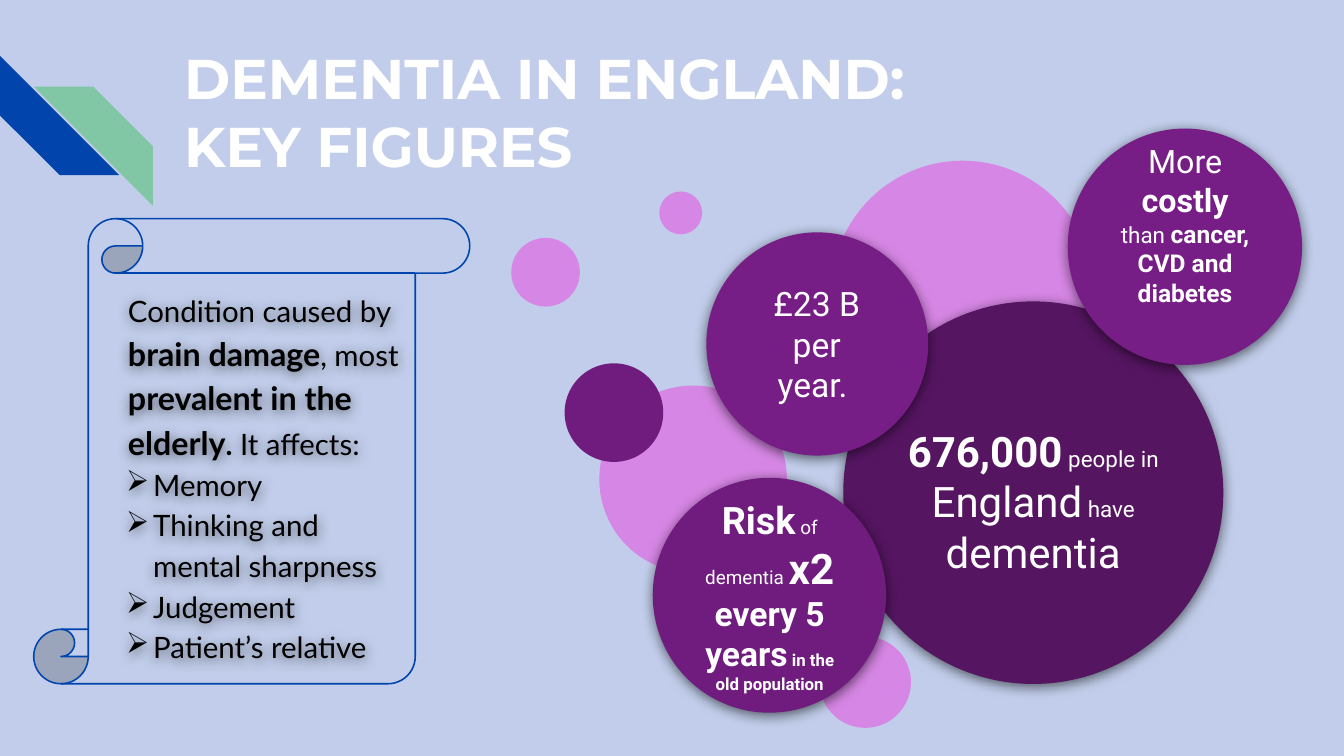
import pptx
import pptx.util
import pptx.dml.color
import pptx.enum.shapes
import pptx.enum.text
import pptx.oxml
import pptx.oxml.ns

Cm = pptx.util.Cm
Pt = pptx.util.Pt
RGBColor = pptx.dml.color.RGBColor
SHAPE = pptx.enum.shapes.MSO_SHAPE
ALIGN = pptx.enum.text.PP_ALIGN
ANCHOR = pptx.enum.text.MSO_ANCHOR

BACKGROUND = RGBColor(0xC1, 0xCD, 0xEA)
BLUE = RGBColor(0x01, 0x45, 0xAC)
GREEN = RGBColor(0x82, 0xC7, 0xA5)
LILAC = RGBColor(0xD6, 0x86, 0xE4)
PURPLE = RGBColor(0x70, 0x1C, 0x7F)
BRIGHT_PURPLE = RGBColor(0x76, 0x1E, 0x86)
DARK_PURPLE = RGBColor(0x55, 0x15, 0x61)
WHITE = RGBColor(0xFF, 0xFF, 0xFF)
BLACK = RGBColor(0x00, 0x00, 0x00)

TITLE = ["DEMENTIA IN ENGLAND:", "KEY FIGURES"]

BUBBLES = [
    (41.3, 32.08, 4.6, LILAC),
    (25.76, 11.99, 3.46, LILAC),
    (30.2, 19.43, 9.45, LILAC),
    (41.88, 8.1, 13.25, LILAC),
    (28.45, 18.31, 4.97, PURPLE),
    (33.22, 9.65, 2.16, LILAC),
]

FIGURES = [
    ((42.49, 15.19, 19.15, 19.28), DARK_PURPLE, (44.75, 20.65, 14.63, 9.19), [
        ("676,000", 60, True), (" people in ", 32, False), ("England", 60, False),
        (" have ", 32, False), ("dementia", 60, False)]),
    ((35.59, 11.71, 11.18, 11.25), BRIGHT_PURPLE, (37.36, 13.59, 7.59, 7.47), [
        ("£23 B per year. ", 48, False)]),
    ((32.89, 24.08, 11.76, 11.84), PURPLE, (34.57, 26.26, 8.43, 7.47), [
        ("Risk", 54, True), (" of dementia ", 27, False), ("x2", 60, True),
        (" every 5 years", 48, True), (" in the old population", 24, True)]),
    ((53.8, 6.48, 11.81, 11.91), BRIGHT_PURPLE, (55.7, 7.36, 8.03, 7.9), [
        ("More ", 46, False), ("costly", 46, True), (" ", 44, False),
        ("than ", 32, False), ("cancer, CVD and diabetes", 35, True)]),
]

CONDITION = [
    ("Condition caused by ", 42, False), ("brain damage", 46, True),
    (", most ", 42, False), ("prevalent in the elderly", 46, True),
    (".", 42, True), (" It affects:", 42, False),
]
EFFECTS = ["Memory", "Thinking and mental sharpness", "Judgement", "Patient’s relative"]


def set_attributes(target, values):
    for name, value in values.items():
        setattr(target, name, value)


def add_shadow(sp):
    sp._element.spPr.append(pptx.oxml.parse_xml(
        f'<a:effectLst {pptx.oxml.ns.nsdecls("a")}>'
        f'<a:outerShdw blurRad="{Pt(18)}" dist="{Pt(4)}" dir="5400000" algn="t" rotWithShape="0">'
        '<a:srgbClr val="000000"><a:alpha val="55000"/></a:srgbClr>'
        '</a:outerShdw></a:effectLst>'))


def add_filled_shape(s, kind, box, color, shadow=False):
    sp = s.shapes.add_shape(kind, *map(Cm, box))
    sp.fill.solid()
    sp.fill.fore_color.rgb = color
    sp.line.fill.background()
    if shadow:
        add_shadow(sp)
    else:
        sp.shadow.inherit = False
    return sp


def add_text_box(s, box, inset, anchor):
    sp = s.shapes.add_textbox(*map(Cm, box))
    margins = dict.fromkeys(
        ("margin_left", "margin_top", "margin_right", "margin_bottom"), Cm(inset))
    set_attributes(sp.text_frame, {"word_wrap": True, "vertical_anchor": anchor, **margins})
    return sp


def add_run(p, text, size, bold, font, color):
    r = p.add_run()
    r.text = text
    set_attributes(r.font, {"name": font, "size": Pt(size), "bold": bold})
    r.font.color.rgb = color


def next_paragraph(tf):
    return tf.add_paragraph() if tf.paragraphs[0].runs else tf.paragraphs[0]


def set_indent(p, left, first):
    pPr = p._p.get_or_add_pPr()
    pPr.set("marL", str(Cm(left)))
    pPr.set("indent", str(Cm(first)))
    return pPr


def add_corner_stripes(s):
    blue = add_filled_shape(s, SHAPE.DIAGONAL_STRIPE, (0, 2.82, 6, 6), BLUE)
    blue.rotation = 270
    green = add_filled_shape(s, SHAPE.DIAGONAL_STRIPE, (1.7, 4.37, 6, 6), GREEN)
    green._element.spPr.xfrm.set("flipH", "1")


def add_title(s):
    tf = add_text_box(s, (8.59, 1.52, 52.15, 7.65), 0.69, ANCHOR.TOP).text_frame
    for line in TITLE:
        add_run(next_paragraph(tf), line, 80, True, "Montserrat", WHITE)


def add_figure(s, circle, color, box, runs):
    add_filled_shape(s, SHAPE.OVAL, circle, color, shadow=True)
    p = add_text_box(s, box, 0.69, ANCHOR.MIDDLE).text_frame.paragraphs[0]
    p.alignment = ALIGN.CENTER
    for text, size, bold in runs:
        add_run(p, text, size, bold, "Roboto", WHITE)


def add_scroll(s):
    sp = add_filled_shape(s, SHAPE.VERTICAL_SCROLL, (1.7, 11.02, 21.97, 23.44), BACKGROUND)
    sp.line.color.rgb = BLUE
    sp.line.width = Pt(2.25)


def add_condition(s):
    sp = add_text_box(s, (4.93, 13.49, 15.52, 21.01), 0.25, ANCHOR.MIDDLE)
    add_shadow(sp)
    p = next_paragraph(sp.text_frame)
    p.line_spacing = 1.15
    set_indent(p, 1.27, 0)
    for text, size, bold in CONDITION:
        add_run(p, text, size, bold, "Lato", BLACK)
    for effect in EFFECTS:
        p = next_paragraph(sp.text_frame)
        set_attributes(p, {"level": 1, "line_spacing": 1.15})
        pPr = set_indent(p, 2.54, -1.37)
        ns = pptx.oxml.ns.nsdecls("a")
        pPr.append(pptx.oxml.parse_xml(f'<a:buClr {ns}><a:srgbClr val="{BLACK}"/></a:buClr>'))
        pPr.append(pptx.oxml.parse_xml(f'<a:buChar {ns} char="➢"/>'))
        add_run(p, effect, 42, False, "Lato", BLACK)


def main():
    prs = pptx.Presentation()
    set_attributes(prs, {"slide_width": Cm(67.72), "slide_height": Cm(38.1)})
    s = prs.slides.add_slide(prs.slide_layouts[6])
    s.background.fill.solid()
    s.background.fill.fore_color.rgb = BACKGROUND

    add_corner_stripes(s)
    add_scroll(s)
    add_title(s)
    for left, top, size, color in BUBBLES:
        add_filled_shape(s, SHAPE.OVAL, (left, top, size, size), color)
    for figure in FIGURES:
        add_figure(s, *figure)
    add_condition(s)
    prs.save("out.pptx")


if __name__ == "__main__":
    main()
